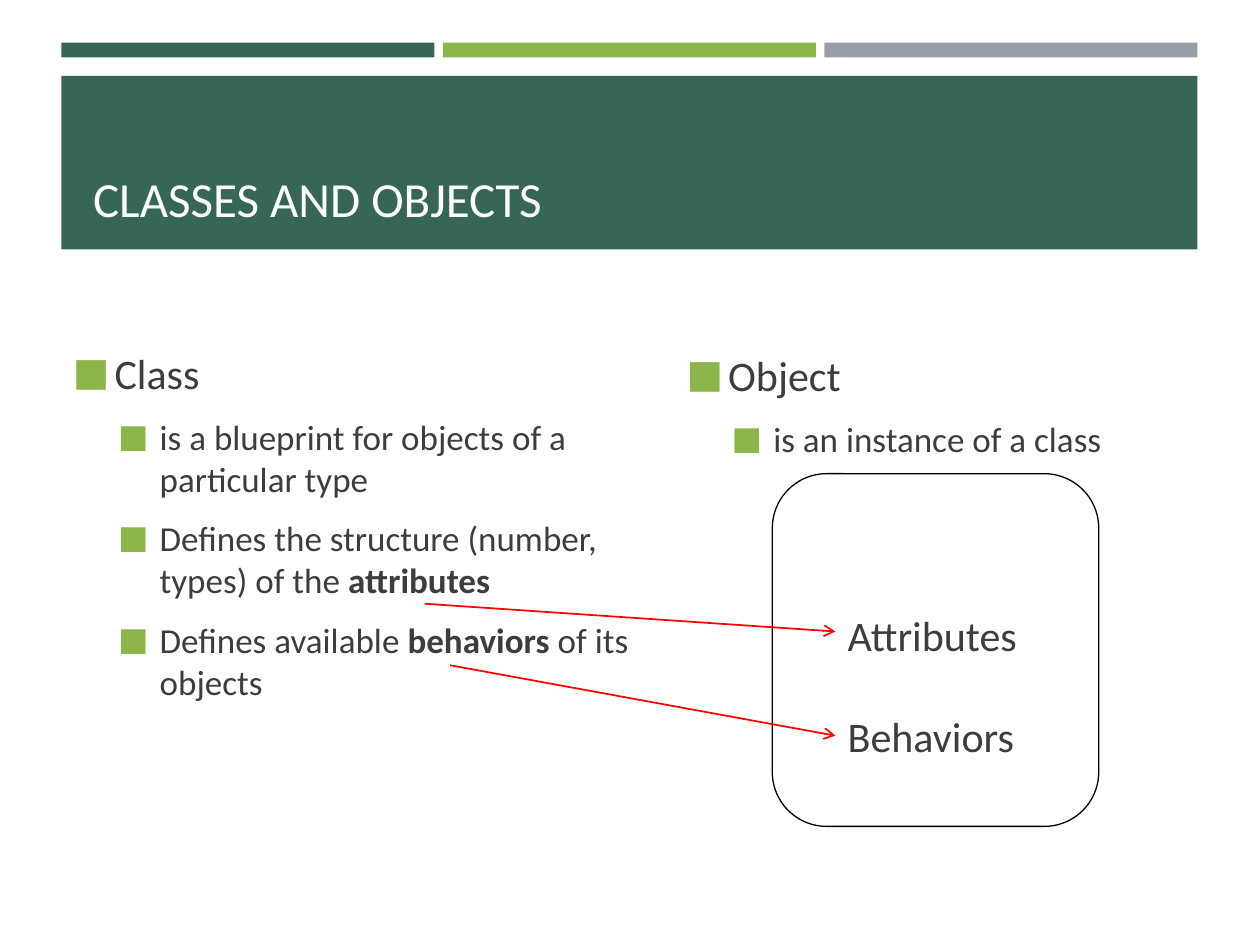
from lxml.etree import SubElement
from pptx import Presentation
from pptx.dml.color import RGBColor
from pptx.enum.shapes import MSO_CONNECTOR, MSO_SHAPE
from pptx.enum.text import MSO_ANCHOR
from pptx.oxml.ns import qn
from pptx.util import Cm, Pt

FONT = "Calibri"
GREEN, LIME, GREY = "366658", "8CB64A", "969FA7"
TEXT, WHITE, BLACK, RED = "3D3D3D", "FFFFFF", "000000", "FF0000"
LEVEL_SIZES = [24, 20]
LEVEL_INDENTS = [0.84, 1.75]
HANGING = 0.84

CLASS_ITEMS = [
    (0, ["Class"]),
    (1, ["is a blueprint for objects of a particular type"]),
    (1, ["Defines the structure (number, types) of the ", "attributes"]),
    (1, ["Defines available ", "behaviors", " of its objects"]),
]
OBJECT_ITEMS = [(0, ["Object"]), (1, ["is an instance of a class"])]


def color(hex_value):
    return RGBColor.from_string(hex_value)


def format_run(run, size, hex_value, bold=False):
    run.font.name = FONT
    run.font.size = Pt(size)
    run.font.bold = bold
    run.font.color.rgb = color(hex_value)


def add_bar(shapes, left, top, width, height, fill):
    shape = shapes.add_shape(MSO_SHAPE.RECTANGLE, Cm(left), Cm(top), Cm(width), Cm(height))
    shape.shadow.inherit = False
    shape.fill.solid()
    shape.fill.fore_color.rgb = color(fill)
    shape.line.fill.background()


def add_text_box(shapes, left, top, width, height, anchor):
    shape = shapes.add_textbox(Cm(left), Cm(top), Cm(width), Cm(height))
    text_frame = shape.text_frame
    text_frame.word_wrap = True
    text_frame.vertical_anchor = anchor
    return text_frame


def add_label(shapes, text, left, top, width, height, size, hex_value, anchor=MSO_ANCHOR.TOP):
    text_frame = add_text_box(shapes, left, top, width, height, anchor)
    text_frame.text = text
    format_run(text_frame.paragraphs[0].runs[0], size, hex_value)


def set_bullet(paragraph, level):
    properties = paragraph._p.get_or_add_pPr()
    properties.set("marL", str(Cm(LEVEL_INDENTS[level])))
    properties.set("indent", str(-Cm(HANGING)))
    bullet_color = SubElement(properties, qn("a:buClr"))
    SubElement(bullet_color, qn("a:srgbClr"), val=LIME)
    SubElement(properties, qn("a:buSzPct"), val="92000")
    SubElement(properties, qn("a:buFont"), typeface=FONT)
    SubElement(properties, qn("a:buChar"), char="■")


def add_bullet_list(shapes, items, left, top, width, height):
    text_frame = add_text_box(shapes, left, top, width, height, MSO_ANCHOR.MIDDLE)
    for index, (level, parts) in enumerate(items):
        paragraph = text_frame.add_paragraph() if index else text_frame.paragraphs[0]
        size = LEVEL_SIZES[level]
        paragraph.level = level
        paragraph.space_before = Pt(size * 0.2)
        paragraph.space_after = Pt(6)
        set_bullet(paragraph, level)
        # Every second part is emphasised
        for position, part in enumerate(parts):
            run = paragraph.add_run()
            run.text = part
            format_run(run, size, TEXT, bold=position % 2 == 1)


def add_object_box(slide):
    shapes = slide.shapes.add_group_shape().shapes
    shape = shapes.add_shape(MSO_SHAPE.ROUNDED_RECTANGLE, Cm(15.57), Cm(9.55), Cm(6.58), Cm(7.11))
    shape.shadow.inherit = False
    shape.fill.background()
    shape.line.color.rgb = color(BLACK)
    shape.line.width = Pt(0.75)
    for text, top in [("Attributes", 12.17), ("Behaviors", 14.2)]:
        add_label(shapes, text, 16.84, top, 4.85, 1.2, 24, TEXT)


def add_arrow(shapes, start, end):
    points = [Cm(value) for value in (*start, *end)]
    connector = shapes.add_connector(MSO_CONNECTOR.STRAIGHT, *points)
    connector.line.color.rgb = color(RED)
    connector.line.width = Pt(1)
    SubElement(connector.line._get_or_add_ln(), qn("a:tailEnd"), type="arrow")
    SubElement(connector._element.spPr, qn("a:effectLst"))


def main():
    presentation = Presentation()
    presentation.slide_width, presentation.slide_height = Cm(25.4), Cm(19.05)
    slide = presentation.slides.add_slide(presentation.slide_layouts[6])
    shapes = slide.shapes

    # Header stripes and title banner
    for index, fill in enumerate([GREEN, LIME, GREY]):
        add_bar(shapes, 1.24 + 7.69 * index, 0.86, 7.52, 0.3, fill)
    add_bar(shapes, 1.24, 1.53, 22.9, 3.5, GREEN)
    add_label(shapes, "CLASSES AND OBJECTS", 1.63, 1.7, 22.2, 3, 28, WHITE, MSO_ANCHOR.BOTTOM)

    # Two columns
    add_bullet_list(shapes, CLASS_ITEMS, 1.22, 5.28, 11.94, 10.6)
    add_bullet_list(shapes, OBJECT_ITEMS, 13.59, 3.2, 10.54, 9.9)

    # Object with arrows from the class
    add_object_box(slide)
    add_arrow(shapes, (8.56, 12.17), (16.84, 12.73))
    add_arrow(shapes, (9.07, 13.41), (16.84, 14.83))

    presentation.save("out.pptx")


main()
